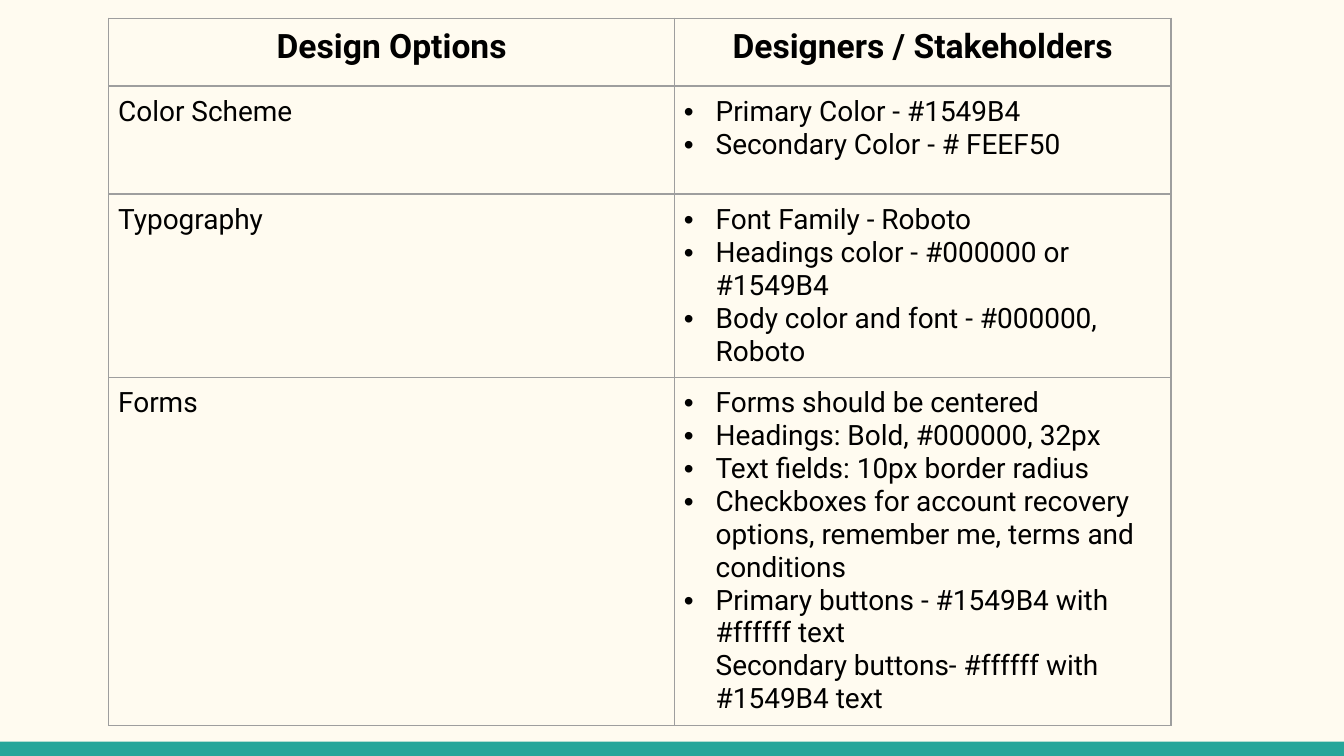
from dataclasses import dataclass

from lxml import etree
from pptx import Presentation
from pptx.dml.color import RGBColor
from pptx.enum.shapes import MSO_SHAPE
from pptx.enum.text import PP_ALIGN
from pptx.oxml.ns import qn
from pptx.util import Pt

RECT = MSO_SHAPE.RECTANGLE
LEFT, CENTER = PP_ALIGN.LEFT, PP_ALIGN.CENTER


@dataclass(frozen=True)
class Theme:
    font: str = "Roboto"
    background: str = "FFFBF0"
    accent: str = "26A69A"
    text: str = "000000"
    border: str = "9E9E9E"
    heading_size: float = 18
    body_size: float = 15


THEME = Theme()
SLIDE_W, SLIDE_H = 720, 405
BAR_H = 7.7
TABLE_LEFT, TABLE_TOP = 58.3, 9.8
COL_WIDTHS = (303.1, 265.9)
ROW_HEIGHTS = (36.3, 57.9, 98, 186.5)
CELL_INSET = 5
BULLET_INDENT = 17
BORDER_W = 0.75

HEADINGS = ("Design Options", "Designers / Stakeholders")
OPTIONS = (
    ("Color Scheme", (
        "Primary Color - #1549B4",
        "Secondary Color - # FEEF50",
    )),
    ("Typography", (
        "Font Family - Roboto",
        "Headings color - #000000 or #1549B4",
        "Body color and font - #000000, Roboto",
    )),
    ("Forms", (
        "Forms should be centered",
        "Headings: Bold, #000000, 32px",
        "Text fields: 10px border radius",
        "Checkboxes for account recovery options, remember me, terms and conditions",
        "Primary buttons - #1549B4 with #ffffff text\n"
        "Secondary buttons- #ffffff with #1549B4 text",
    )),
)


def rgb(value):
    return RGBColor.from_string(value)


def add_runs(p, text, size, bold):
    for i, line in enumerate(text.split("\n")):
        if i:
            p.add_line_break()
        r = p.add_run()
        r.text = line
        r.font.name = THEME.font
        r.font.size = Pt(size)
        r.font.bold = bold
        r.font.color.rgb = rgb(THEME.text)


def add_bullet(p):
    pPr = p._p.get_or_add_pPr()
    pPr.set("marL", str(Pt(BULLET_INDENT)))
    pPr.set("indent", str(-Pt(BULLET_INDENT)))
    color = etree.SubElement(pPr, qn("a:buClr"))
    etree.SubElement(color, qn("a:srgbClr"), val=THEME.text)
    etree.SubElement(pPr, qn("a:buFont"), typeface="Arial")
    etree.SubElement(pPr, qn("a:buChar"), char="•")


def set_borders(cell):
    tcPr = cell._tc.get_or_add_tcPr()
    for i, side in enumerate(("lnL", "lnR", "lnT", "lnB")):
        ln = etree.Element(qn(f"a:{side}"), w=str(Pt(BORDER_W)))
        fill = etree.SubElement(ln, qn("a:solidFill"))
        etree.SubElement(fill, qn("a:srgbClr"), val=THEME.border)
        tcPr.insert(i, ln)


def fill_cell(cell, lines, size=THEME.body_size, bold=False, align=LEFT, bullets=False):
    cell.margin_left = cell.margin_right = Pt(CELL_INSET)
    cell.margin_top = cell.margin_bottom = Pt(CELL_INSET)
    cell.fill.background()
    set_borders(cell)
    tf = cell.text_frame
    for i, line in enumerate(lines):
        p = tf.add_paragraph() if i else tf.paragraphs[0]
        p.alignment = align
        if bullets:
            add_bullet(p)
        add_runs(p, line, size, bold)


def add_bar(s):
    sp = s.shapes.add_shape(RECT, 0, Pt(SLIDE_H - BAR_H), Pt(SLIDE_W), Pt(BAR_H))
    sp.shadow.inherit = False
    sp.fill.solid()
    sp.fill.fore_color.rgb = rgb(THEME.accent)
    sp.line.fill.background()


def add_options_table(s):
    table = s.shapes.add_table(
        len(ROW_HEIGHTS), len(COL_WIDTHS), Pt(TABLE_LEFT), Pt(TABLE_TOP),
        Pt(sum(COL_WIDTHS)), Pt(sum(ROW_HEIGHTS))).table
    table.horz_banding = False
    for col, width in zip(table.columns, COL_WIDTHS):
        col.width = Pt(width)
    for row, height in zip(table.rows, ROW_HEIGHTS):
        row.height = Pt(height)

    # Heading row
    for i, heading in enumerate(HEADINGS):
        fill_cell(table.cell(0, i), [heading], THEME.heading_size, True, CENTER)

    # One row per design option
    for i, (option, decisions) in enumerate(OPTIONS, start=1):
        fill_cell(table.cell(i, 0), [option])
        fill_cell(table.cell(i, 1), decisions, bullets=True)


def main():
    prs = Presentation()
    prs.slide_width, prs.slide_height = Pt(SLIDE_W), Pt(SLIDE_H)
    s = prs.slides.add_slide(prs.slide_layouts[6])
    s.background.fill.solid()
    s.background.fill.fore_color.rgb = rgb(THEME.background)
    add_bar(s)
    add_options_table(s)
    prs.save("out.pptx")


if __name__ == "__main__":
    main()
